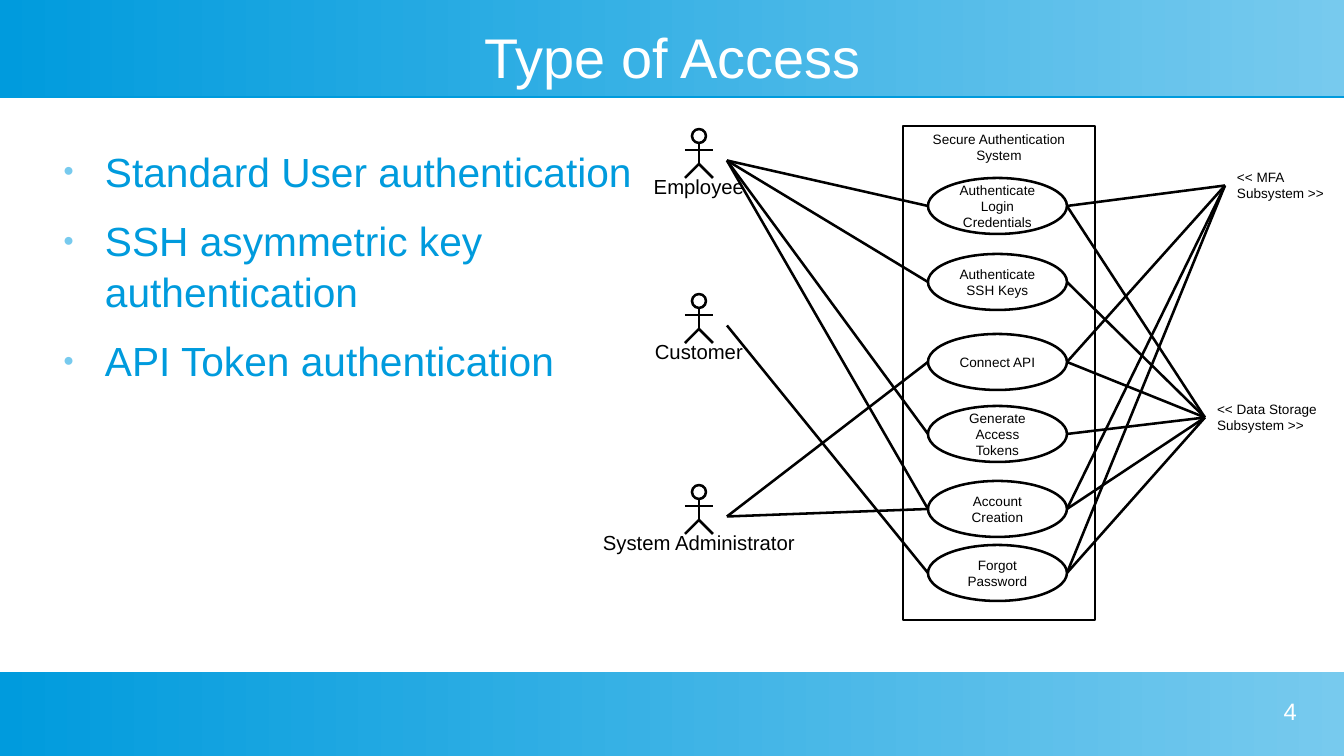
from lxml.etree import SubElement
from pptx import Presentation
from pptx.dml.color import RGBColor
from pptx.enum.shapes import MSO_CONNECTOR, MSO_SHAPE
from pptx.enum.text import MSO_ANCHOR, MSO_AUTO_SIZE, PP_ALIGN
from pptx.oxml.ns import qn
from pptx.util import Emu, Pt

EMU_PER_PX = 914400 / 122
SLIDE_W, SLIDE_H = 1344, 756
BLUE, PALE_BLUE, BLACK, WHITE = "009BDD", "77CAEE", "000000", "FFFFFF"
LEFT_SIDE, RIGHT_SIDE = 1, 3

USE_CASE_X, USE_CASE_W, USE_CASE_H = 928, 139, 56
USE_CASES = {
    "Authenticate Login Credentials": 178,
    "Authenticate SSH Keys": 254,
    "Connect API": 334,
    "Generate Access Tokens": 406,
    "Account Creation": 481,
    "Forgot Password": 545,
}
# Name: top, linked use cases by index
ACTORS = {
    "Employee": (122, (0, 1, 3, 4)),
    "Customer": (287, (5,)),
    "System Administrator": (478, (2, 4)),
}
# Name: box, linked use cases by index
SUBSYSTEMS = {
    "<< MFA Subsystem >>": ((1225, 163, 140, 45), (0, 2, 4, 5)),
    "<< Data Storage Subsystem >>": ((1205, 395, 179, 45), (0, 1, 2, 3, 4, 5)),
}


def px(*lengths):
    return [Emu(round(length * EMU_PER_PX)) for length in lengths]


def color(hex_string):
    return RGBColor.from_string(hex_string)


def add_bullet(paragraph):
    properties = paragraph._p.get_or_add_pPr()
    indent, hanging = px(57, -42)
    properties.set("marL", str(indent))
    properties.set("indent", str(hanging))
    bullet_color = SubElement(properties, qn("a:buClr"))
    SubElement(bullet_color, qn("a:srgbClr"), val=PALE_BLUE)
    SubElement(properties, qn("a:buSzPct"), val="45000")
    SubElement(properties, qn("a:buFont"), typeface="Arial")
    SubElement(properties, qn("a:buChar"), char="●")


def write(shape, *texts, size, fill=BLACK, align=PP_ALIGN.LEFT, anchor=MSO_ANCHOR.TOP,
          insets=(0, 0), wrap=True, bullets=False, gap=0, spacing=None):
    frame = shape.text_frame
    frame.word_wrap = wrap
    frame.auto_size = MSO_AUTO_SIZE.NONE
    frame.vertical_anchor = anchor
    frame.margin_left = frame.margin_right = px(insets[0])[0]
    frame.margin_top = frame.margin_bottom = px(insets[1])[0]
    for index, text in enumerate(texts):
        paragraph = frame.add_paragraph() if index else frame.paragraphs[0]
        if bullets:
            add_bullet(paragraph)
        paragraph.alignment = align
        paragraph.space_before = Pt(gap if index else 0)
        if spacing:
            paragraph.line_spacing = spacing
        run = paragraph.add_run()
        run.text = text
        run.font.name = "Arial"
        run.font.size = Pt(size)
        run.font.color.rgb = color(fill)


def add_text(shapes, box, *texts, **text_format):
    text_box = shapes.add_textbox(*px(*box))
    write(text_box, *texts, **text_format)
    return text_box


def add_outlined(shapes, preset, box):
    shape = shapes.add_shape(preset, *px(*box))
    shape.shadow.inherit = False
    shape.fill.solid()
    shape.fill.fore_color.rgb = color(WHITE)
    shape.line.color.rgb = color(BLACK)
    shape.line.width = Pt(1.5)
    return shape


def add_line(shapes, start, end):
    line = shapes.add_connector(MSO_CONNECTOR.STRAIGHT, *px(*start, *end))
    line.line.color.rgb = color(BLACK)
    line.line.width = Pt(1.5)
    SubElement(line._element.spPr, qn("a:effectLst"))
    return line


def add_band(shapes, top, height):
    band = shapes.add_shape(MSO_SHAPE.RECTANGLE, *px(0, top, SLIDE_W, height))
    band.line.fill.background()
    band.fill.gradient()
    band.fill.gradient_angle = 0
    for stop, hex_string in zip(band.fill.gradient_stops, (BLUE, PALE_BLUE)):
        stop.color.rgb = color(hex_string)
    for stop, position in zip(band.fill.gradient_stops, (0, 1)):
        stop.position = position
    # Thin blue edge below the band
    band.shadow.inherit = False
    effects = band._element.spPr.find(qn("a:effectLst"))
    shadow = SubElement(effects, qn("a:outerShdw"), blurRad="0", dist=str(Pt(0.9)),
                        dir="5400000", algn="ctr", rotWithShape="0")
    SubElement(shadow, qn("a:srgbClr"), val=BLUE)


def add_actor(shapes, name, top):
    figure = shapes.add_group_shape().shapes
    center = 699
    label = add_text(figure, (center - 28, top, 56, 77), name, size=12, insets=(12, 0),
                     align=PP_ALIGN.CENTER, anchor=MSO_ANCHOR.BOTTOM, wrap=False)
    add_outlined(figure, MSO_SHAPE.OVAL, (center - 7, top + 7, 14, 14))
    hip = (center, top + 42)
    add_line(figure, (center, top + 21), hip)
    add_line(figure, (center - 14, top + 28), (center + 14, top + 28))
    for foot in (center + 14, center - 14):
        add_line(figure, hip, (foot, top + 56))
    return label


def link_use_cases(shapes, party, side, use_case_x, indexes):
    tops = list(USE_CASES.values())
    for index in indexes:
        use_case_end = (use_case_x, tops[index] + USE_CASE_H // 2)
        link = add_line(shapes, use_case_end, use_case_end)
        link.end_connect(party, side)


def main():
    deck = Presentation()
    deck.slide_width, deck.slide_height = px(SLIDE_W, SLIDE_H)
    slide = deck.slides.add_slide(deck.slide_layouts[5])
    shapes = slide.shapes

    # Bands, with the title brought in front of them
    add_band(shapes, 0, 96)
    add_band(shapes, 672, 84)
    title = shapes.title
    title.left, title.top, title.width, title.height = px(48, 25, 1249, 63)
    write(title, "Type of Access", size=33, fill=WHITE, align=PP_ALIGN.CENTER,
          anchor=MSO_ANCHOR.MIDDLE)
    shapes._spTree.append(title._element)

    # Access types
    add_text(shapes, (48, 144, 609, 481), "Standard User authentication",
             "SSH asymmetric key authentication", "API Token authentication",
             size=24, fill=BLUE, bullets=True, gap=10.6, spacing=1.05)

    # System and its use cases
    system = add_outlined(shapes, MSO_SHAPE.RECTANGLE, (903, 126, 192, 494))
    write(system, "Secure Authentication System", size=8, align=PP_ALIGN.CENTER,
          insets=(11, 5))
    for name, top in USE_CASES.items():
        use_case = add_outlined(shapes, MSO_SHAPE.OVAL,
                                (USE_CASE_X, top, USE_CASE_W, USE_CASE_H))
        write(use_case, name, size=8, align=PP_ALIGN.CENTER, anchor=MSO_ANCHOR.MIDDLE,
              insets=(11, 5))

    # Actors and subsystems with their links
    for name, (top, indexes) in ACTORS.items():
        actor = add_actor(shapes, name, top)
        link_use_cases(shapes, actor, RIGHT_SIDE, USE_CASE_X, indexes)
    for name, (box, indexes) in SUBSYSTEMS.items():
        subsystem = add_text(shapes, box, name, size=8, insets=(12, 6))
        link_use_cases(shapes, subsystem, LEFT_SIDE, USE_CASE_X + USE_CASE_W, indexes)

    # Page number
    add_text(shapes, (985, 697, 312, 48), "4", size=14, fill=WHITE, align=PP_ALIGN.RIGHT)

    deck.save("out.pptx")


if __name__ == "__main__":
    main()
